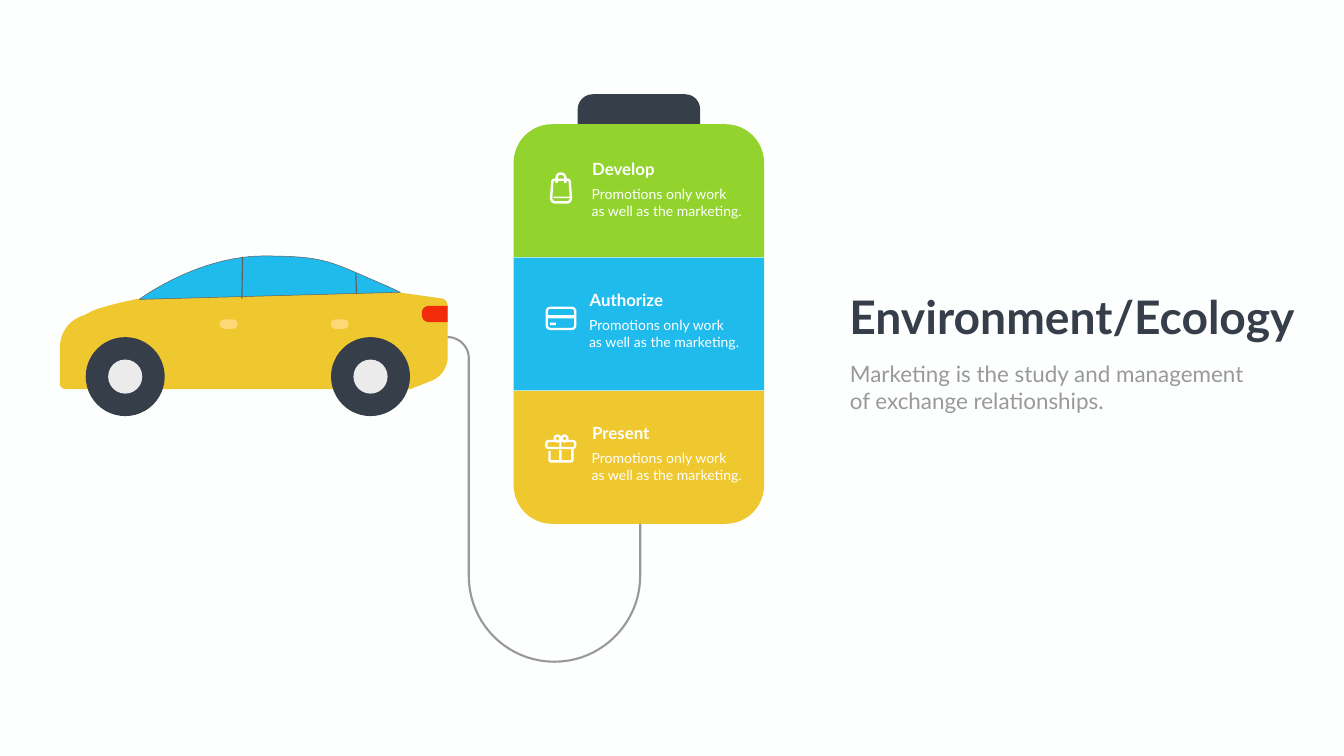
from dataclasses import dataclass

from pptx import Presentation
from pptx.dml.color import RGBColor
from pptx.enum.shapes import MSO_CONNECTOR, MSO_SHAPE
from pptx.enum.text import MSO_AUTO_SIZE
from pptx.oxml import parse_xml
from pptx.util import Cm, Pt


@dataclass(frozen=True)
class Theme:
    font: str = "Lato"
    paper: str = "FDFFFE"
    white: str = "FFFFFF"
    dark: str = "353E49"
    grey: str = "989998"
    seam: str = "606060"
    yellow: str = "EFC72E"
    blue: str = "20BBED"
    green: str = "93D32E"
    red: str = "F22B0A"
    handle: str = "FED777"
    hub: str = "EAEBEA"
    title: int = 66
    subtitle: int = 32
    heading: int = 24
    detail: int = 20


theme = Theme()
deck = Presentation()
deck.slide_width, deck.slide_height = Cm(67.72), Cm(38.1)
page = deck.slides.add_slide(deck.slide_layouts[6])
page.background.fill.solid()
page.background.fill.fore_color.rgb = RGBColor.from_string(theme.paper)


def draw(outline, box=None, fill=None, line=None, weight=1, corners=(), close=True):
    """Draw a preset in a box, or a list: start, then lines (x, y) and cubic curves (six numbers)."""
    if box:
        shape = page.shapes.add_shape(outline, *[Cm(length) for length in box])
        for index, corner in enumerate(corners):
            shape.adjustments[index] = corner
    else:
        points = [outline[0]]
        for step in outline[1:]:
            if len(step) == 2:
                points.append(step)
                continue
            x0, y0 = points[-1]
            x1, y1, x2, y2, x3, y3 = step
            for t in [number / 20 for number in range(1, 21)]:
                a, b, c, d = (1 - t) ** 3, 3 * t * (1 - t) ** 2, 3 * t * t * (1 - t), t ** 3
                points.append((a * x0 + b * x1 + c * x2 + d * x3, a * y0 + b * y1 + c * y2 + d * y3))
        points = [(Cm(x), Cm(y)) for x, y in points]
        builder = page.shapes.build_freeform(*points[0])
        builder.add_line_segments(points[1:], close=close)
        shape = builder.convert_to_shape()
    shape.shadow.inherit = False
    for paint, colour in ((shape.fill, fill), (shape.line.fill, line)):
        if colour:
            paint.solid()
            paint.fore_color.rgb = RGBColor.from_string(colour)
        else:
            paint.background()
    if line:
        shape.line.width = Pt(weight)


def write(text, box, size, colour, bold=False, wrap=True):
    frame = page.shapes.add_textbox(*[Cm(length) for length in box]).text_frame
    frame.word_wrap = wrap
    frame.auto_size = MSO_AUTO_SIZE.SHAPE_TO_FIT_TEXT
    for index, words in enumerate(text.split("\n")):
        para = frame.paragraphs[0] if index == 0 else frame.add_paragraph()
        span = para.add_run()
        span.text = words
        span.font.name, span.font.size, span.font.bold = theme.font, Pt(size), bold
        span.font.color.rgb = RGBColor.from_string(colour)


# Car
body = [(22.25, 15.04), (20.04, 14.73), (6.96, 15.06),
        (6.32, 15.19, 5.61, 15.34, 4.83, 15.6), (4.6, 15.67, 4.37, 15.85, 4.11, 15.93),
        (3.45, 16.18, 3.02, 16.79, 3.02, 17.53), (3.02, 19.35),
        (3.02, 19.48, 3.15, 19.61, 3.3, 19.61), (20.68, 19.61), (21.72, 19.2),
        (22.23, 19, 22.56, 18.52, 22.56, 17.98), (22.56, 15.42),
        (22.56, 15.24, 22.43, 15.06, 22.25, 15.04)]
windows = [(7.01, 15.09), (7.01, 15.09, 9.91, 12.93, 13.21, 12.9),
           (16.51, 12.9, 16.59, 13.18, 19.53, 14.43), (20.17, 14.73)]
tail_lamp = [(22.56, 16.23), (21.62, 16.23), (21.41, 16.23, 21.26, 16.08, 21.26, 15.88),
             (21.26, 15.77), (21.26, 15.57, 21.41, 15.42, 21.62, 15.42), (22.56, 15.42)]
draw(body, fill=theme.yellow)
draw(windows, fill=theme.blue, line=theme.seam, weight=0.75)
draw(tail_lamp, fill=theme.red)
for left in (11.07, 16.66):
    draw(MSO_SHAPE.ROUNDED_RECTANGLE, (left, 16.1, 0.91, 0.47), theme.handle, corners=[0.5])
for ends in ((17.93, 13.77, 17.96, 14.81), (12.19, 15.04, 12.22, 12.95)):
    pillar = page.shapes.add_connector(MSO_CONNECTOR.STRAIGHT, *[Cm(length) for length in ends])
    pillar.line.color.rgb = RGBColor.from_string(theme.seam)
    pillar.line.width = Pt(1.64)
    pillar.element.spPr.append(parse_xml(
        '<a:effectLst xmlns:a="http://schemas.openxmlformats.org/drawingml/2006/main"/>'))
for center in (6.31, 18.67):
    for radius, colour in ((1.99, theme.dark), (0.86, theme.hub)):
        draw(MSO_SHAPE.OVAL, (center - radius, 18.98 - radius, 2 * radius, 2 * radius), colour)

# Battery and charging cable
draw(MSO_SHAPE.ROUND_2_SAME_RECTANGLE, (29.11, 4.75, 6.17, 1.51), theme.dark, corners=[0.5, 0])
cells = [(MSO_SHAPE.ROUND_2_SAME_RECTANGLE, theme.green, (0.29, 0)),
         (MSO_SHAPE.RECTANGLE, theme.blue, ()),
         (MSO_SHAPE.ROUND_2_SAME_RECTANGLE, theme.yellow, (0, 0.29))]
for index, (preset, colour, corners) in enumerate(cells):
    draw(preset, (25.88, 6.26 + 6.72 * index, 12.62, 6.7), colour, corners=corners)
cable = [(22.56, 16.99), (23.14, 16.99, 23.62, 17.48, 23.62, 18.03), (23.62, 29.01),
         (23.62, 31.42, 25.55, 33.35, 27.94, 33.35), (30.3, 33.35, 32.26, 31.42, 32.26, 29.01),
         (32.26, 26.39)]
draw(cable, line=theme.grey, weight=3, close=False)

# Icons: outlined parts, then solid bars
bag = [(27.97, 10.2), (27.86, 10.2, 27.77, 10.1, 27.77, 9.98), (27.83, 9.17),
       (27.83, 9.09, 27.89, 9.06, 27.94, 9.06), (28.6, 9.06),
       (28.65, 9.06, 28.71, 9.09, 28.71, 9.17), (28.77, 9.98),
       (28.77, 10.1, 28.68, 10.2, 28.58, 10.2)]
bag_handle = [(28.05, 9.22), (28.05, 8.99), (28.05, 8.79, 28.15, 8.75, 28.27, 8.75),
              (28.38, 8.75, 28.49, 8.83, 28.49, 8.99), (28.49, 9.22)]
gift_box = [(27.69, 22.73), (27.69, 23.17), (27.69, 23.22, 27.71, 23.25, 27.76, 23.25),
            (28.77, 23.25), (28.82, 23.25, 28.84, 23.22, 28.84, 23.17), (28.84, 22.56)]
draw(bag, line=theme.white, weight=3.5)
for outline in (bag_handle, gift_box):
    draw(outline, line=theme.white, weight=3.5, close=False)
card, gift_lid = (27.55, 15.51, 1.44, 1.07), (27.53, 22.23, 1.45, 0.35)
bows = [(left, 21.95, 0.28, 0.3) for left in (27.95, 28.31)]
for box, corner in [(card, 0.17), (gift_lid, 0.3)] + [(bow, 0.5) for bow in bows]:
    draw(MSO_SHAPE.ROUNDED_RECTANGLE, box, line=theme.white, weight=3.3, corners=[corner])
bag_hem, card_stripe, card_chip = (27.89, 9.91, 0.88, 0.08), (27.58, 15.88, 1.4, 0.17), (27.71, 16.26, 0.3, 0.13)
ribbons = [(28.19, 22.23, 0.1, 0.33), (28.17, 22.68, 0.13, 0.56)]
for box in [bag_hem, card_stripe, card_chip] + ribbons:
    draw(MSO_SHAPE.RECTANGLE, box, theme.white)

# Text
write("Environment/Ecology", (42.55, 14.43, 23.5, 3.07), theme.title, theme.dark, bold=True, wrap=False)
write("Marketing is the study and management\nof exchange relationships.",
      (42.57, 18.03, 22.76, 3), theme.subtitle, theme.grey)
for heading, left, top in (("Develop", 29.59, 7.85), ("Authorize", 29.46, 14.48), ("Present", 29.59, 21.16)):
    write(heading, (left, top, 4.65, 1.27), theme.heading, theme.paper, bold=True)
    write("Promotions only work\nas well as the marketing.",
          (left - 0.03, top + 1.36, 8.26, 1.96), theme.detail, theme.paper)

deck.save("out.pptx")
